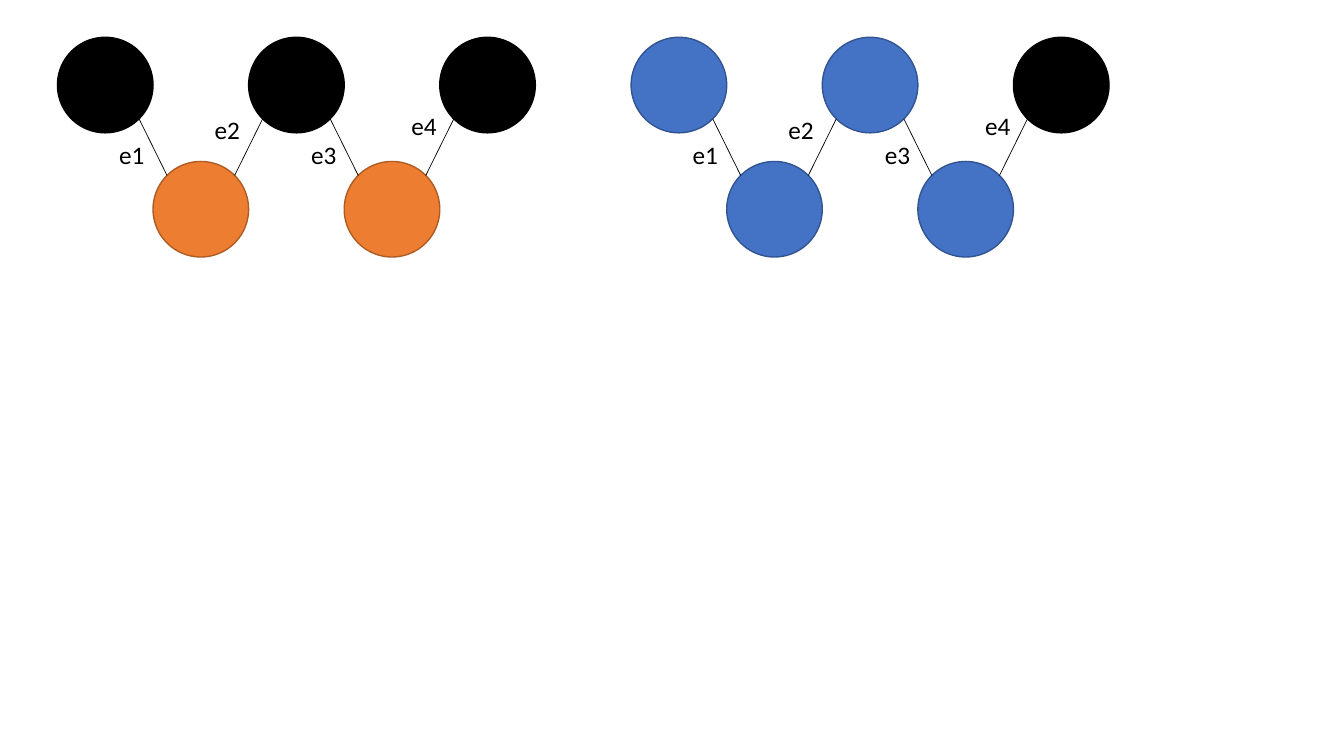
from math import sqrt

from lxml import etree
from pptx import Presentation, util as u
from pptx.dml.color import RGBColor
from pptx.enum import shapes, text
from pptx.oxml.ns import qn

INK = {"black": "000000", "orange": "ED7D31", "rust": "AF5C24",
       "blue": "4472C4", "navy": "325491"}
EDGE = {"black": "black", "orange": "rust", "blue": "navy"}
# Label corners, as columns and share of the graph's height
TAGS = {"e1": (0.54, 0.44), "e2": (1.54, 0.33),
        "e3": (2.55, 0.44), "e4": (3.6, 0.31)}


def rgb(name):
    """Look up a named colour."""
    return RGBColor.from_string(INK[name])


def node(slide, x, y, size, tint):
    """Draw one round node in its square cell."""
    dot = slide.shapes.add_shape(shapes.MSO_SHAPE.OVAL, x, y, size, size)
    dot.shadow.inherit = False
    dot.fill.solid()
    dot.fill.fore_color.rgb = rgb(tint)
    dot.line.color.rgb = rgb(EDGE[tint])
    dot.line.width = u.Pt(1)


def link(slide, start, end):
    """Draw a thin straight edge between two points."""
    line = slide.shapes.add_connector(
        shapes.MSO_CONNECTOR.STRAIGHT, *map(int, start + end))
    line.line.color.rgb = rgb("black")
    line.line.width = u.Pt(0.5)
    etree.SubElement(line._element.spPr, qn("a:effectLst"))


def label(slide, x, y, word):
    """Write an edge's name."""
    box = slide.shapes.add_textbox(int(x), int(y), u.Inches(0.48), u.Inches(0.4))
    frame = box.text_frame
    frame.word_wrap = True
    frame.auto_size = text.MSO_AUTO_SIZE.SHAPE_TO_FIT_TEXT
    run = frame.paragraphs[0].add_run()
    run.text = word
    run.font.name = "Calibri"
    run.font.size = u.Pt(18)
    run.font.color.rgb = rgb("black")


def graph(slide, left, top, wide, high, tints):
    """Draw a zigzag path whose nodes alternate between two rows."""
    col = wide // len(tints)
    spots = [(left + i * col, top + i % 2 * (high - col))
             for i in range(len(tints))]
    for (x, y), tint in zip(spots, tints):
        node(slide, x, y, col, tint)

    near, far = (col / 2 * (1 + s / sqrt(2)) for s in (-1, 1))
    for i, (a, b) in enumerate(zip(spots, spots[1:])):
        upper, lower = (b, a) if i % 2 else (a, b)
        out, into = (near, far) if i % 2 else (far, near)
        link(slide, (upper[0] + out, upper[1] + far),
             (lower[0] + into, lower[1] + near))

    for word, (across, down) in TAGS.items():
        label(slide, left + across * col, top + down * high, word)


def main():
    """Build the slide with its two graphs."""
    deck = Presentation()
    deck.slide_width, deck.slide_height = u.Inches(13.33), u.Inches(7.5)
    slide = deck.slides.add_slide(deck.slide_layouts[6])
    top, wide, high = u.Inches(0.37), u.Inches(4.74), u.Inches(2.18)
    graph(slide, u.Inches(0.57), top, wide, high,
          ["black", "orange", "black", "orange", "black"])
    graph(slide, u.Inches(6.26), top, wide, high, ["blue"] * 4 + ["black"])
    deck.save("out.pptx")


main()
